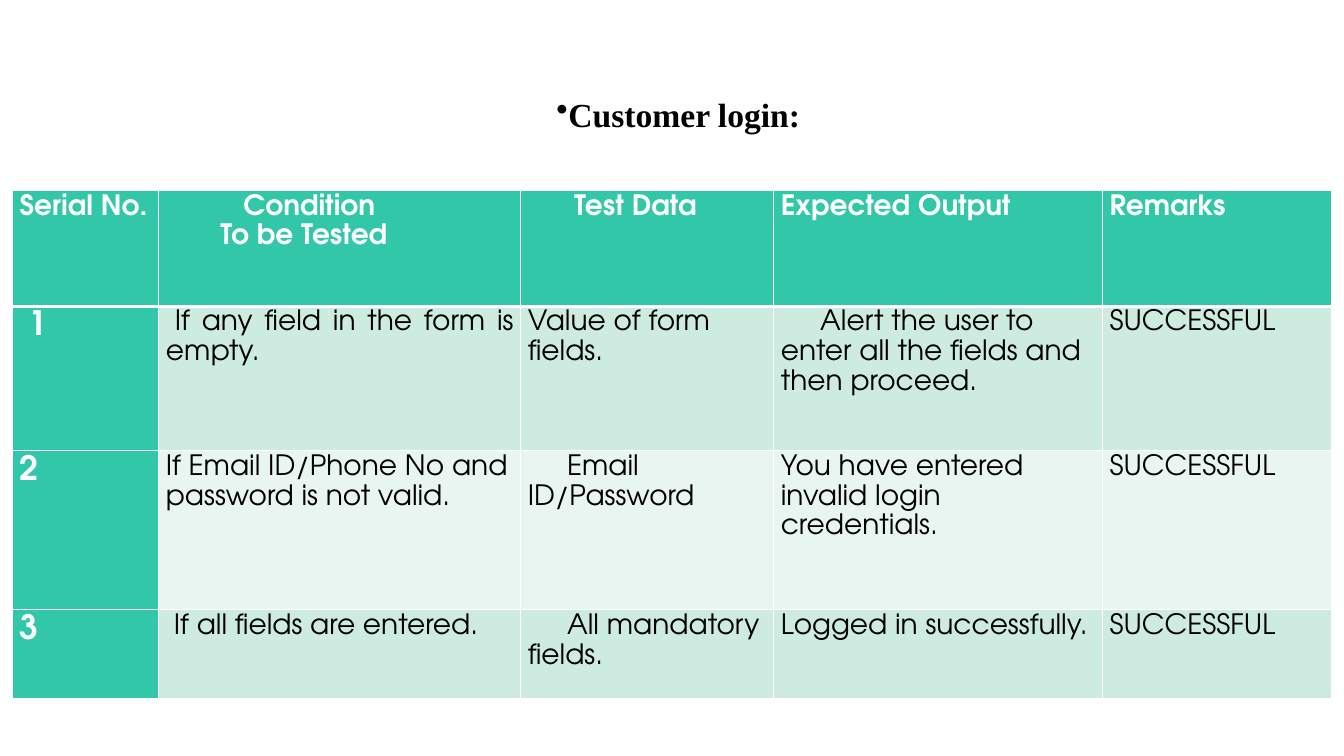
from pptx import Presentation
from pptx.dml.color import RGBColor as RGB
from pptx.enum.text import MSO_ANCHOR as Anchor, MSO_AUTO_SIZE as Auto, PP_ALIGN as Align
from pptx.oxml.xmlchemy import OxmlElement as Elem
from pptx.util import Inches, Pt

WIDE, HIGH = Inches(13.33), Inches(7.5)
TEAL = RGB(0x32, 0xC7, 0xA9)
MINT = RGB(0xCE, 0xEB, 0xE2)
PALE = RGB(0xE8, 0xF5, 0xF1)
WHITE = RGB(0xFF, 0xFF, 0xFF)
BLACK = RGB(0, 0, 0)
SANS, SERIF = "TeX Gyre Adventor", "Times New Roman"

# Shares of the slide, in percent
COLS = (10.88, 26.93, 18.83, 24.46, 17.03)
ROWS = (15.33, 19.07, 21.07, 11.73)

# A cell is a list of lines; a line is its first-line indent in inches and its text
HEAD = [
    [(0, "Serial No.")],
    [(0.77, "Condition"), (0.54, "To be Tested")],
    [(0.46, "Test Data")],
    [(0, "Expected Output")],
    [(0, "Remarks")],
]
TESTS = [
    [
        [(0.09, "1")],
        [(0.09, "If any field in the form is empty.")],
        [(0, "Value of form fields.")],
        [(0.39, "Alert the user to enter all the fields and then proceed.")],
        [(0, "SUCCESSFUL")],
    ],
    [
        [(0, "2")],
        [(0, "If Email ID/Phone No and password is not valid.")],
        [(0.39, "Email ID/Password")],
        [(0, "You have entered invalid login credentials.")],
        [(0, "SUCCESSFUL")],
    ],
    [
        [(0, "3")],
        [(0.08, "If all fields are entered.")],
        [(0.39, "All mandatory fields.")],
        [(0, "Logged in successfully.")],
        [(0, "SUCCESSFUL")],
    ],
]


def across(share):
    return int(WIDE * share / 100)


def down(share):
    return int(HIGH * share / 100)


def add_run(para, text, face, size, color, bold):
    run = para.add_run()
    run.text = text
    font = run.font
    font.name, font.size, font.bold = face, Pt(size), bold
    font.color.rgb = color


def add_title(slide, text):
    box = slide.shapes.add_textbox(across(40.66), down(11.73), across(28.73), down(6.67))
    frame = box.text_frame
    frame.word_wrap = True
    frame.auto_size = Auto.SHAPE_TO_FIT_TEXT
    frame.vertical_anchor = Anchor.MIDDLE
    para = frame.paragraphs[0]
    dot = Elem("a:buChar")
    dot.set("char", "•")
    para._p.get_or_add_pPr().append(dot)
    add_run(para, text, SERIF, 24, BLACK, True)


def add_edges(cell, base):
    """Draw white cell borders; base is the bottom width in points."""
    props = cell._tc.get_or_add_tcPr()
    for side, width in (("L", 1), ("R", 1), ("T", 1), ("B", base)):
        line = Elem(f"a:ln{side}")
        line.set("w", str(Pt(width)))
        fill = Elem("a:solidFill")
        color = Elem("a:srgbClr")
        color.set("val", str(WHITE))
        fill.append(color)
        line.append(fill)
        props.append(line)


def fill_cell(cell, lines, back, color, size, bold, base, align):
    cell.margin_left = cell.margin_right = Inches(0.07)
    cell.margin_top = cell.margin_bottom = 0
    add_edges(cell, base)
    cell.fill.solid()
    cell.fill.fore_color.rgb = back
    frame = cell.text_frame
    for num, (lead, text) in enumerate(lines):
        para = frame.add_paragraph() if num else frame.paragraphs[0]
        para.line_spacing = 1.15
        para.alignment = align
        props = para._p.get_or_add_pPr()
        props.set("marL", "0")
        props.set("indent", str(Inches(lead)))
        add_run(para, text, SANS, size, color, bold)


def add_grid(slide, rows):
    frame = slide.shapes.add_table(len(ROWS), len(COLS), across(0.94), down(25.2),
                                   across(sum(COLS)), down(sum(ROWS)))
    table = frame.table
    for col, share in zip(table.columns, COLS):
        col.width = across(share)
    for row, share in zip(table.rows, ROWS):
        row.height = down(share)
    for r, row in enumerate(rows):
        for c, lines in enumerate(row):
            key = r == 0 or c == 0
            back = TEAL if key else MINT if r % 2 else PALE
            size = 24 if r and c == 0 else 20
            align = Align.JUSTIFY if (r, c) == (1, 1) else Align.LEFT
            fill_cell(table.cell(r, c), lines, back, WHITE if key else BLACK,
                      size, key, 1 if r else 3, align)


def main():
    deck = Presentation()
    deck.slide_width, deck.slide_height = WIDE, HIGH
    slide = deck.slides.add_slide(deck.slide_layouts[6])
    add_grid(slide, [HEAD] + TESTS)
    add_title(slide, "Customer login:")
    deck.save("out.pptx")


if __name__ == "__main__":
    main()
